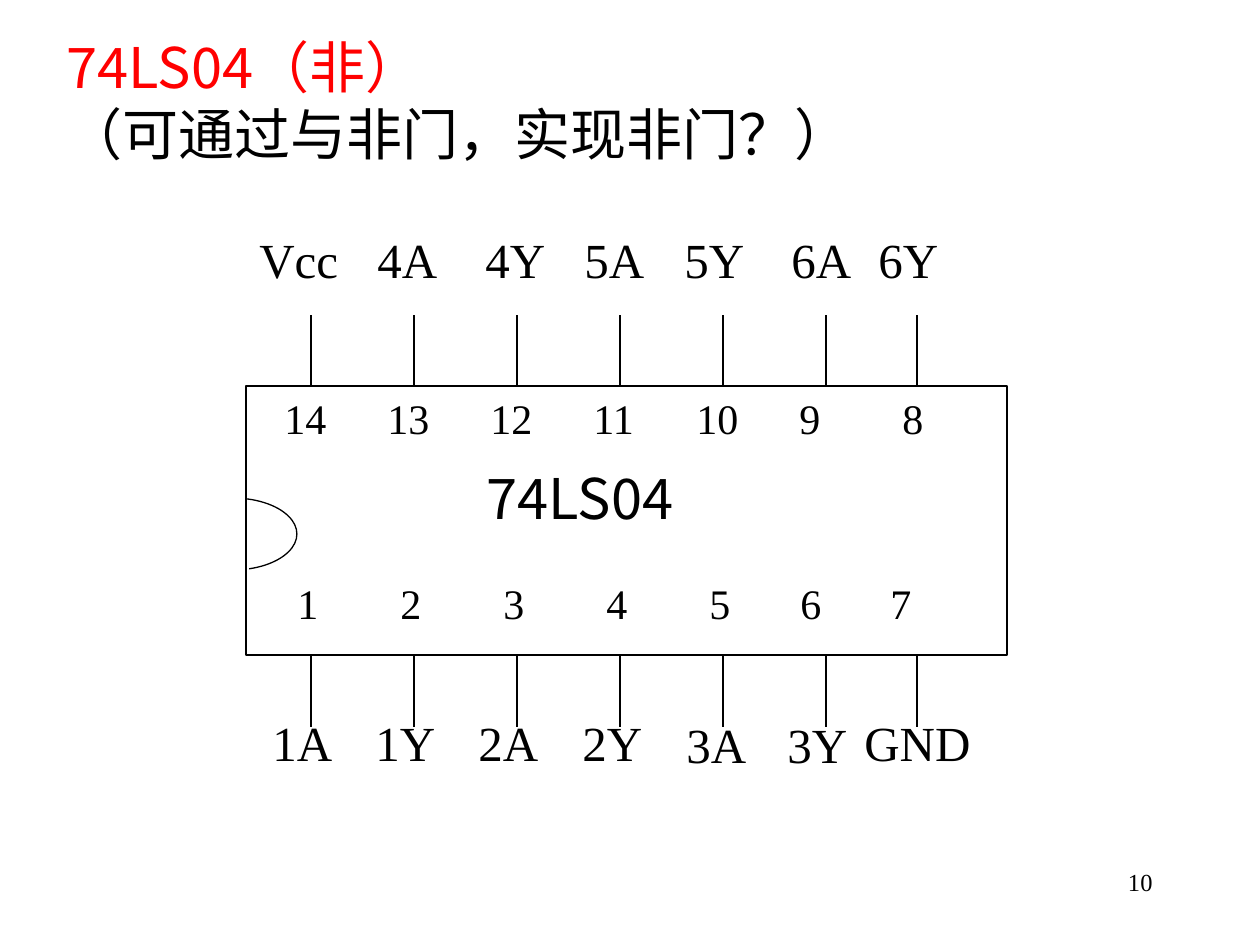
from lxml.etree import SubElement
from pptx import Presentation
from pptx.dml.color import RGBColor as Rgb
from pptx.enum.shapes import MSO_CONNECTOR as Link, MSO_SHAPE as Form
from pptx.enum.text import MSO_ANCHOR as Anchor, MSO_AUTO_SIZE as Fit, PP_ALIGN as Align
from pptx.oxml.ns import qn
from pptx.util import Emu, Pt

INK = {"red": "FF0000", "black": "000000"}
SANS, SERIF = "Noto Sans CJK SC", "Times New Roman"
PITCH = 103
PINS = [65 + PITCH * i for i in range(6)] + [671]
ROWS = [
    {"lead": -71, "edge": 0, "num": 0, "name": -163,
     "nums": ["14", "13", "12", "11", "10", "9", "8"],
     "cols": [26 + PITCH * i for i in range(7)],
     "names": [("Vcc", 1, 0), ("4A", 119, 0), ("4Y", 227, 0), ("5A", 326, 0),
               ("5Y", 426, 0), ("6A", 533, 0), ("6Y", 620, 0)]},
    {"lead": 341, "edge": 269, "num": 185, "name": 320,
     "nums": ["1", "2", "3", "4", "5", "6", "7"],
     "cols": [39 + PITCH * i for i in range(5)] + [542, 632],
     "names": [("1A", 14, 0), ("1Y", 117, 0), ("2A", 220, 0), ("2Y", 324, 0),
               ("3A", 428, 2), ("3Y", 529, 2), ("GND", 606, 0)]},
]
WIDE = {"Vcc": 107, "GND": 135}


def px(*nums):
    """Turn px lengths into EMU."""
    return [Emu(round(n * 914400 / 126)) for n in nums]


def tint(ink):
    """Give the colour of an ink name."""
    return Rgb.from_string(INK[ink])


def put(item, **vals):
    """Set attributes from format values."""
    for key, val in vals.items():
        setattr(item, key, val)


def pen(line):
    """Draw a thin black line."""
    line.color.rgb = tint("black")
    line.width = Pt(0.75)


def write(frame, lines, size, face, align=Align.LEFT):
    """Fill a text frame with (text, ink) lines."""
    for i, (text, ink) in enumerate(lines):
        para = frame.add_paragraph() if i else frame.paragraphs[0]
        para.alignment = align
        run = para.add_run()
        run.text = text
        put(run.font, size=Pt(size), name=face)
        run.font.color.rgb = tint(ink)
        SubElement(run._r.get_or_add_rPr(), qn("a:ea"), typeface=face)


def label(shapes, box, text, size, face=SERIF, align=Align.LEFT):
    """Add a one-line black label."""
    frame = shapes.add_textbox(*px(*box)).text_frame
    put(frame, word_wrap=False, auto_size=Fit.SHAPE_TO_FIT_TEXT)
    write(frame, [(text, "black")], size, face, align)


def head(slide, box):
    """Place the two-line title."""
    title = slide.shapes.title
    put(title, **dict(zip(("left", "top", "width", "height"), px(*box))))
    put(title.text_frame, word_wrap=True, auto_size=Fit.NONE, vertical_anchor=Anchor.TOP)
    write(title.text_frame,
          [("74LS04（非）", "red"), ("（可通过与非门，实现非门？）", "black")], 32, SANS)


def row(shapes, x, y, side):
    """Draw one side of pins with numbers and names."""
    for pin in PINS:
        lead = shapes.add_connector(
            Link.STRAIGHT, *px(x + pin, y + side["edge"], x + pin, y + side["lead"]))
        pen(lead.line)
        SubElement(lead.element.spPr, qn("a:effectLst"))
    for num, col in zip(side["nums"], side["cols"]):
        label(shapes, (x + col, y + side["num"], 28 + 21 * len(num), 63), num, 24)
    for name, col, drop in side["names"]:
        box = (x + col, y + side["name"] + drop, WIDE.get(name, 88), 72)
        label(shapes, box, name, 28)


def chip(slide, box):
    """Draw the chip body, notch, pins and type."""
    x, y, wide, high = box
    shapes = slide.shapes.add_group_shape().shapes
    body = shapes.add_shape(Form.RECTANGLE, *px(x, y, wide, high))
    notch = shapes.add_shape(Form.ARC, *px(x - 77, y + 112, 128, 72))
    notch.adjustments[0], notch.adjustments[1] = 292 * 0.6, 65 * 0.6
    for part in (body, notch):
        part.fill.background()
        part.shadow.inherit = False
        pen(part.line)
    for side in ROWS:
        row(shapes, x, y, side)
    label(shapes, (x + 228, y + 71, 232, 81), "74LS04", 32, SANS)


def main():
    """Build and save the slide."""
    deck = Presentation()
    deck.slide_width, deck.slide_height = px(1260, 945)
    slide = deck.slides.add_slide(deck.slide_layouts[5])
    head(slide, (54, 26, 863, 147))
    chip(slide, (246, 386, 761, 269))
    label(slide.shapes, (903, 861, 262, 63), "10", 14, align=Align.RIGHT)
    deck.save("out.pptx")


if __name__ == "__main__":
    main()
